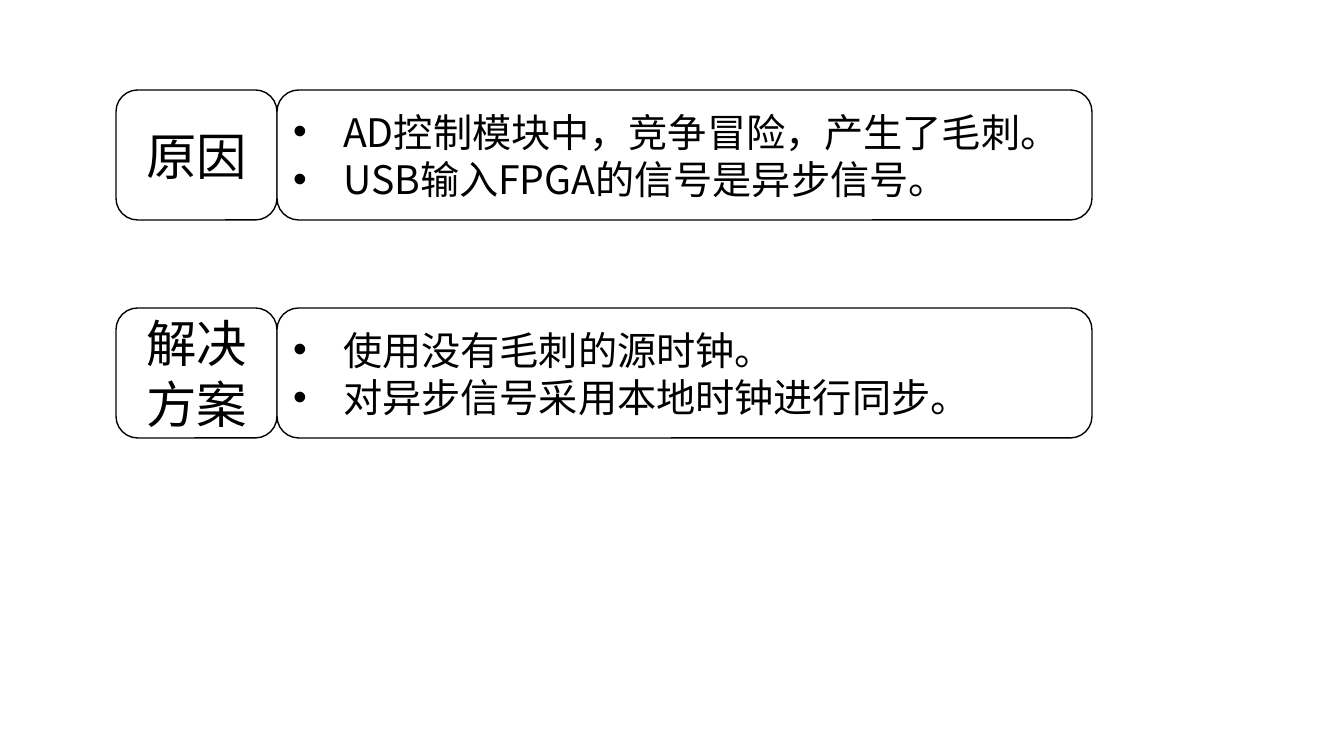
import pptx
import pptx.util
import pptx.dml.color
import pptx.enum.shapes
import pptx.enum.text
import pptx.oxml.ns
import lxml.etree

# Content: heading and its points
SECTIONS = [
    ("原因", ["AD控制模块中，竞争冒险，产生了毛刺。",
            "USB输入FPGA的信号是异步信号。"]),
    ("解决方案", ["使用没有毛刺的源时钟。",
              "对异步信号采用本地时钟进行同步。"]),
]

COLORS = {"paper": "FFFFFF", "ink": "000000"}
FONT = "Noto Sans CJK SC"
ALIGN = pptx.enum.text.PP_ALIGN
HEADING = {"size": 36, "align": ALIGN.CENTER, "bullet": None}
POINTS = {"size": 28, "align": ALIGN.LEFT, "bullet": "•"}

# Layout in pixels
PX = pptx.util.Inches(1) / 100.8
SLIDE_W, SLIDE_H = 1344, 756
LEFT, TOP, ROW_STEP, ROW_H = 116, 90, 218, 130
HEADING_W, POINTS_W = 161, 815
INDENT = 50


def emu(pixels):
    return pptx.util.Emu(round(pixels * PX))


def rgb(name):
    return pptx.dml.color.RGBColor.from_string(COLORS[name])


def add_child(parent, tag, **attributes):
    lxml.etree.SubElement(parent, pptx.oxml.ns.qn(tag), **attributes)


def add_box(slide, left, top, width, lines, style):
    box = slide.shapes.add_shape(
        pptx.enum.shapes.MSO_SHAPE.ROUNDED_RECTANGLE,
        *map(emu, (left, top, width, ROW_H)))
    box.shadow.inherit = False
    box.fill.solid()
    box.fill.fore_color.rgb = rgb("paper")
    box.line.color.rgb = rgb("ink")
    box.line.width = pptx.util.Pt(1)

    frame = box.text_frame
    frame.word_wrap = True
    frame.vertical_anchor = pptx.enum.text.MSO_ANCHOR.MIDDLE
    for index, line in enumerate(lines):
        paragraph = frame.add_paragraph() if index else frame.paragraphs[0]
        paragraph.alignment = style["align"]
        run = paragraph.add_run()
        run.text = line
        font_format = {"name": FONT, "size": pptx.util.Pt(style["size"])}
        for attribute, value in font_format.items():
            setattr(run.font, attribute, value)
        run.font.color.rgb = rgb("ink")
        add_child(run.font._element, "a:ea", typeface=FONT)
        if style["bullet"]:
            properties = paragraph._p.get_or_add_pPr()
            properties.set("marL", str(emu(INDENT)))
            properties.set("indent", str(-emu(INDENT)))
            add_child(properties, "a:buFont", typeface="Arial")
            add_child(properties, "a:buChar", char=style["bullet"])


presentation = pptx.Presentation()
presentation.slide_width = emu(SLIDE_W)
presentation.slide_height = emu(SLIDE_H)
slide = presentation.slides.add_slide(presentation.slide_layouts[6])

# One row per section: heading box, then points box
for row, (heading, points) in enumerate(SECTIONS):
    top = TOP + row * ROW_STEP
    add_box(slide, LEFT, top, HEADING_W, [heading], HEADING)
    add_box(slide, LEFT + HEADING_W, top, POINTS_W, points, POINTS)

presentation.save("out.pptx")
